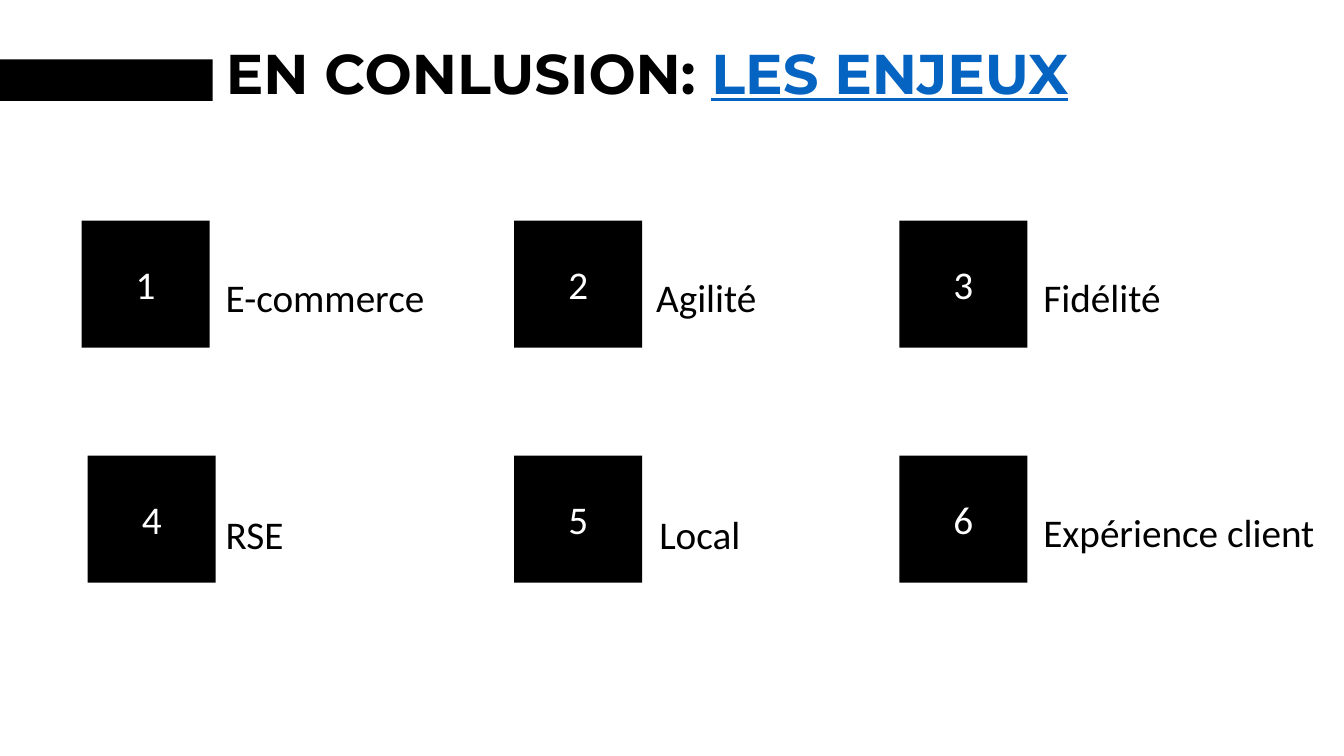
from dataclasses import dataclass

from pptx import Presentation
from pptx.dml.color import RGBColor
from pptx.enum.shapes import MSO_SHAPE
from pptx.enum.text import MSO_ANCHOR, MSO_AUTO_SIZE, PP_ALIGN
from pptx.slide import Slide
from pptx.text.text import TextFrame, _Paragraph
from pptx.util import Inches, Pt


@dataclass(frozen=True)
class Theme:
    black: RGBColor = RGBColor(0x00, 0x00, 0x00)
    white: RGBColor = RGBColor(0xFF, 0xFF, 0xFF)
    accent: RGBColor = RGBColor(0x05, 0x63, 0xC1)
    title_font: str = "Montserrat"
    body_font: str = "Calibri"
    title_size: Pt = Pt(40)
    body_size: Pt = Pt(28)


@dataclass(frozen=True)
class Challenge:
    label: str
    tile_left: float
    tile_top: float
    label_left: float
    label_top: float
    label_width: float = 2.48


THEME = Theme()
TILE_WIDTH, TILE_HEIGHT = 1.27, 1.26
LABEL_HEIGHT = 1.04
CHALLENGES = [
    Challenge("E-commerce", 0.81, 2.19, 2.14, 2.19),
    Challenge("Agilité", 5.1, 2.19, 6.41, 2.19),
    Challenge("Fidélité", 8.92, 2.19, 10.25, 2.19),
    Challenge("RSE", 0.87, 4.52, 2.14, 4.54, 2.95),
    Challenge("Local", 5.1, 4.52, 6.44, 4.54),
    Challenge("Expérience client", 8.92, 4.52, 10.25, 4.52, 2.95),
]


def apply(target: object, values: dict[str, object]) -> None:
    for name, value in values.items():
        setattr(target, name, value)


def add_span(para: _Paragraph, text: str, color: RGBColor, **values: object) -> None:
    span = para.add_run()
    span.text = text
    apply(span.font, {"name": THEME.body_font, "size": THEME.body_size, **values})
    span.font.color.rgb = color


def add_block(page: Slide, left: float, top: float, width: float, height: float) -> TextFrame:
    block = page.shapes.add_shape(
        MSO_SHAPE.RECTANGLE, Inches(left), Inches(top), Inches(width), Inches(height)
    )
    block.shadow.inherit = False
    block.fill.solid()
    block.fill.fore_color.rgb = THEME.black
    block.line.fill.background()
    return block.text_frame


def add_title(page: Slide) -> None:
    title = page.shapes.title
    apply(title, {"left": Inches(2.14), "top": Inches(0.03),
                  "width": Inches(11.5), "height": Inches(1.45)})
    apply(title.text_frame, {"vertical_anchor": MSO_ANCHOR.MIDDLE, "word_wrap": True,
                             "auto_size": MSO_AUTO_SIZE.NONE})
    para = title.text_frame.paragraphs[0]
    apply(para, {"alignment": PP_ALIGN.LEFT, "line_spacing": 0.9})
    style = {"name": THEME.title_font, "size": THEME.title_size, "bold": True}
    add_span(para, "EN CONLUSION: ", THEME.black, **style)
    add_span(para, "LES ENJEUX", THEME.accent, underline=True, **style)


def add_challenge(page: Slide, number: int, challenge: Challenge) -> None:
    tile = add_block(page, challenge.tile_left, challenge.tile_top, TILE_WIDTH, TILE_HEIGHT)
    tile.vertical_anchor = MSO_ANCHOR.MIDDLE
    tile.paragraphs[0].alignment = PP_ALIGN.CENTER
    add_span(tile.paragraphs[0], str(number), THEME.white)
    box = page.shapes.add_textbox(
        Inches(challenge.label_left), Inches(challenge.label_top),
        Inches(challenge.label_width), Inches(LABEL_HEIGHT),
    )
    apply(box.text_frame, {"word_wrap": True, "vertical_anchor": MSO_ANCHOR.BOTTOM})
    add_span(box.text_frame.paragraphs[0], challenge.label, THEME.black)


def main() -> None:
    deck = Presentation()
    apply(deck, {"slide_width": Inches(13.33), "slide_height": Inches(7.5)})
    page = deck.slides.add_slide(deck.slide_layouts[5])
    add_block(page, -0.5, 0.59, 2.61, 0.41)
    add_title(page)
    for number, challenge in enumerate(CHALLENGES, start=1):
        add_challenge(page, number, challenge)
    deck.save("out.pptx")


if __name__ == "__main__":
    main()
